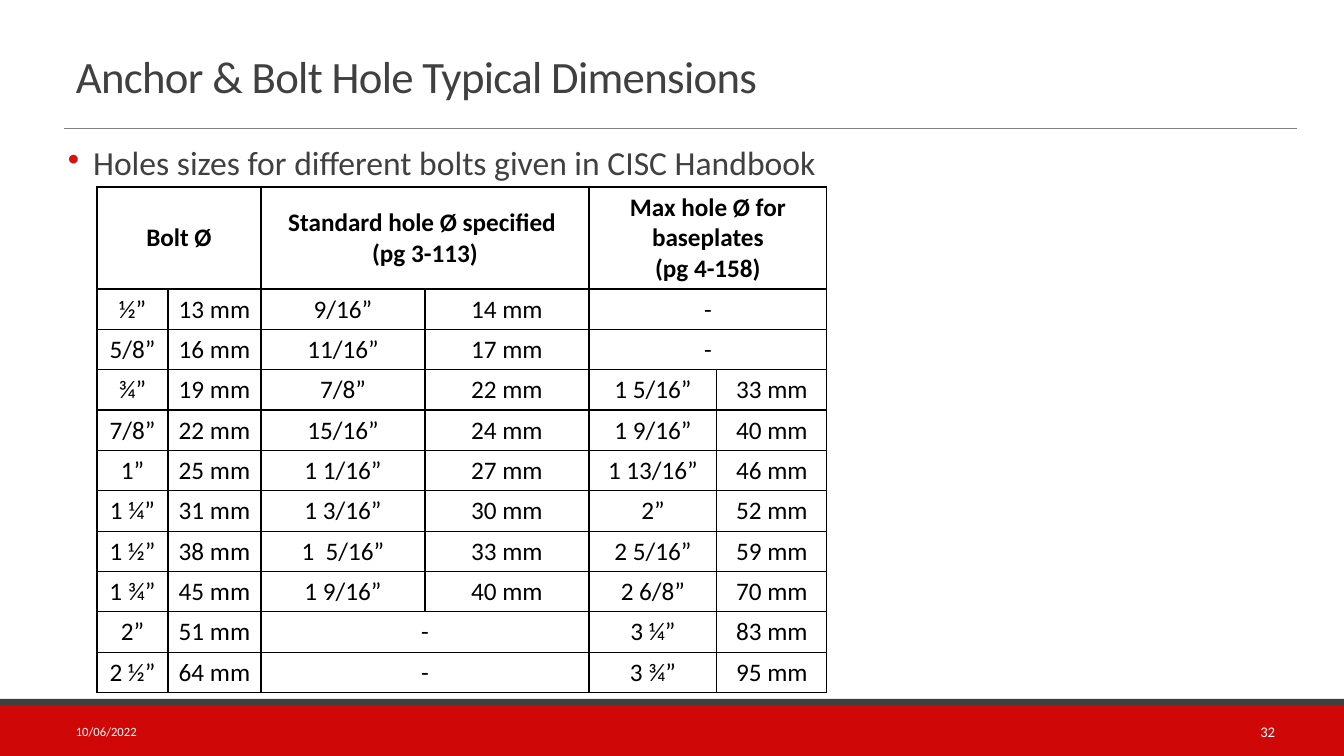
from lxml import etree
from pptx import Presentation
from pptx import util as u
from pptx.dml.color import RGBColor
from pptx.enum import shapes, text
from pptx.oxml import parse_xml
from pptx.oxml.ns import nsdecls, qn

PX = 914400 / 100.8
RED = RGBColor(0xCF, 0x07, 0x07)
DARK = RGBColor(0x40, 0x40, 0x40)
GRAY = RGBColor(0x80, 0x80, 0x80)
WHITE = RGBColor(0xFF, 0xFF, 0xFF)
BLACK = RGBColor(0, 0, 0)
FONT = "Calibri"


def px(*lengths):
    return [u.Emu(round(length * PX)) for length in lengths]


def add_text(words, frame, size, color, anchor):
    box = page.shapes.add_textbox(*px(*frame))
    box.text_frame.word_wrap = True
    box.text_frame.vertical_anchor = anchor
    para = box.text_frame.paragraphs[0]
    para.text = words
    span = para.runs[0]
    span.font.name = FONT
    span.font.size = u.Pt(size)
    span.font.color.rgb = color
    return para


deck = Presentation()
deck.slide_width, deck.slide_height = px(1344, 756)
page = deck.slides.add_slide(deck.slide_layouts[6])

for frame, color in [((0, 703, 1344, 53), RED), ((0, 699, 1344, 7), DARK)]:
    bar = page.shapes.add_shape(shapes.MSO_SHAPE.RECTANGLE, *px(*frame))
    bar.shadow.inherit = False
    bar.fill.solid()
    bar.fill.fore_color.rgb = color
    bar.line.fill.background()

rule = page.shapes.add_connector(shapes.MSO_CONNECTOR.STRAIGHT, *px(64, 128, 1297, 128))
rule.line.color.rgb = GRAY
rule.line.width = u.Pt(0.5)
etree.SubElement(rule._element.spPr, qn("a:effectLst"))

MIDDLE = text.MSO_ANCHOR.MIDDLE
add_text("10/06/2022", (66, 712, 272, 40), 9, WHITE, MIDDLE)
number = add_text("32", (1141, 712, 144, 40), 10.5, WHITE, MIDDLE)
number.alignment = text.PP_ALIGN.RIGHT

title = add_text("Anchor & Bolt Hole Typical Dimensions", (66, 31, 1220, 98), 32, DARK, MIDDLE)
title.line_spacing = 0.85
title.runs[0].font._element.set("spc", "-50")

bullet = add_text("Holes sizes for different bolts given in CISC Handbook",
                  (58, 142, 1220, 569), 24, DARK, text.MSO_ANCHOR.TOP)
bullet.line_spacing = 0.9
bullet.space_after = u.Pt(2)
bullet_props = bullet._p.get_or_add_pPr()
bullet_props.set("marL", "228600")
bullet_props.set("indent", "-228600")
bullet_props.append(parse_xml(f'<a:buClr {nsdecls("a")}><a:srgbClr val="D91111"/></a:buClr>'))
bullet_props.append(parse_xml(f'<a:buChar {nsdecls("a")} char="•"/>'))

WIDTHS = [71, 93, 164, 164, 128, 110]
HEADER_HEIGHT, ROW_HEIGHT = 102, 40
ROWS = [
    ["Bolt Ø", None, "Standard hole Ø specified \n(pg 3-113)", None,
     "Max hole Ø for baseplates\n(pg 4-158)", None],
    ["½”", "13 mm", "9/16”", "14 mm", "-", None],
    ["5/8”", "16 mm", "11/16”", "17 mm", "-", None],
    ["¾”", "19 mm", "7/8”", "22 mm", "1 5/16”", "33 mm"],
    ["7/8”", "22 mm", "15/16”", "24 mm", "1 9/16”", "40 mm"],
    ["1”", "25 mm", "1 1/16”", "27 mm", "1 13/16”", "46 mm"],
    ["1 ¼”", "31 mm", "1 3/16”", "30 mm", "2”", "52 mm"],
    ["1 ½”", "38 mm", "1  5/16”", "33 mm", "2 5/16”", "59 mm"],
    ["1 ¾”", "45 mm", "1 9/16”", "40 mm", "2 6/8”", "70 mm"],
    ["2”", "51 mm", "-", None, "3 ¼”", "83 mm"],
    ["2 ½”", "64 mm", "-", None, "3 ¾”", "95 mm"],
]
table_height = HEADER_HEIGHT + ROW_HEIGHT * (len(ROWS) - 1)
holes = page.shapes.add_table(len(ROWS), len(WIDTHS),
                              *px(97, 187, sum(WIDTHS), table_height)).table
holes.first_row = False
holes.horz_banding = False
for column, width in zip(holes.columns, px(*WIDTHS)):
    column.width = width

for r, values in enumerate(ROWS):
    holes.rows[r].height = px(ROW_HEIGHT if r else HEADER_HEIGHT)[0]
    for c, value in enumerate(values):
        cell = holes.cell(r, c)
        cell_props = cell._tc.get_or_add_tcPr()
        for side in ("lnL", "lnR", "lnT", "lnB"):
            cell_props.append(parse_xml(
                f'<a:{side} {nsdecls("a")} w="12700"><a:solidFill>'
                f'<a:srgbClr val="{BLACK}"/></a:solidFill></a:{side}>'))
        cell.fill.background()
        if value is None:
            holes.cell(r, c - 1).merge(cell)
            continue
        cell.text = value
        cell.vertical_anchor = MIDDLE
        for para in cell.text_frame.paragraphs:
            para.alignment = text.PP_ALIGN.CENTER
            for span in para.runs:
                span.font.name = FONT
                span.font.size = u.Pt(18)
                span.font.bold = r == 0
                span.font.color.rgb = BLACK

deck.save("out.pptx")
